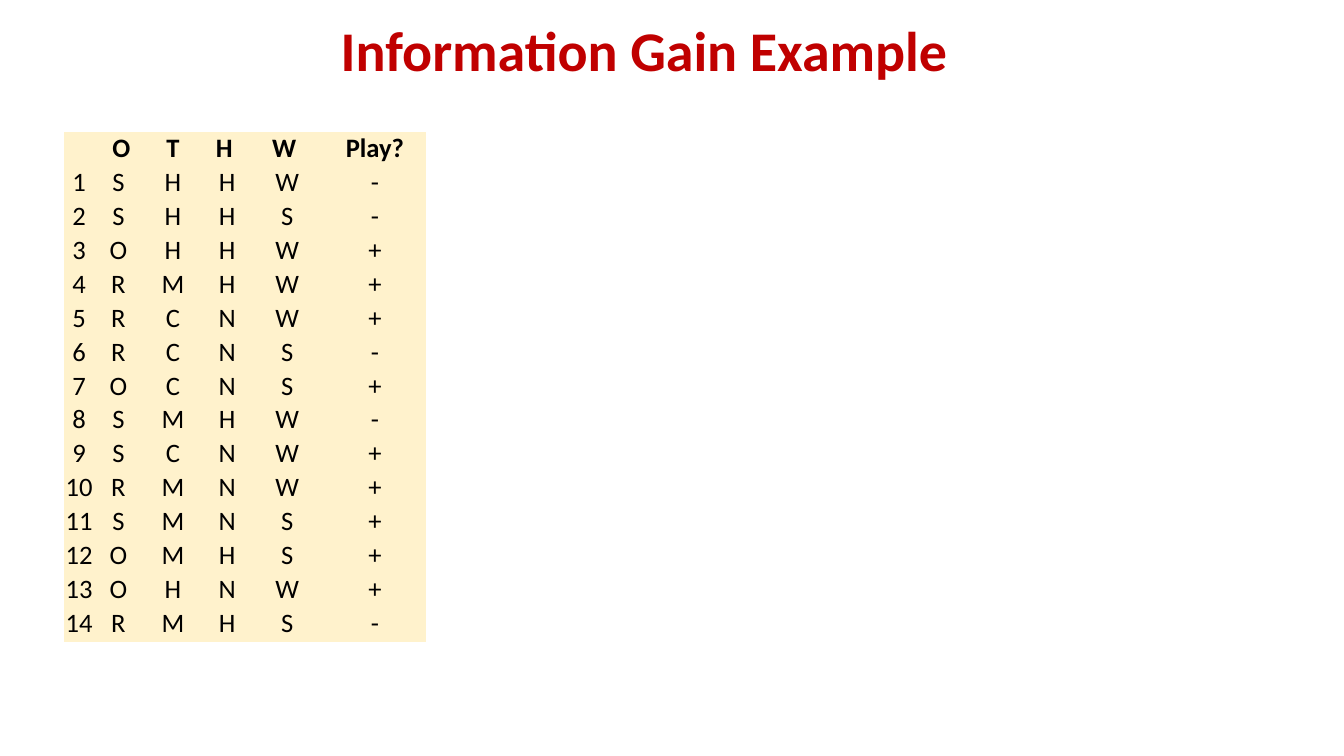
from dataclasses import dataclass

from pptx import Presentation
from pptx.dml.color import RGBColor
from pptx.enum.text import MSO_ANCHOR, PP_ALIGN
from pptx.util import Inches, Pt

CENTER = PP_ALIGN.CENTER
MIDDLE = MSO_ANCHOR.MIDDLE
PLAIN = "{2D5ABB26-0587-4C30-8999-92F81FD0307C}"


@dataclass(frozen=True)
class Theme:
    """Hold the colours, font and type sizes of the slide."""
    font: str = "Calibri"
    red: RGBColor = RGBColor(0xC0, 0x00, 0x00)
    black: RGBColor = RGBColor(0x00, 0x00, 0x00)
    cream: RGBColor = RGBColor(0xFF, 0xF2, 0xCC)
    head: Pt = Pt(40)
    body: Pt = Pt(19)


THEME = Theme()
WIDTHS = (0.31, 0.47, 0.61, 0.47, 0.72, 1.02)
HEADS = ("", " O", "T", "H ", "W ", "Play?")
DAYS = (
    "SHHW-", "SHHS-", "OHHW+", "RMHW+", "RCNW+", "RCNS-", "OCNS+",
    "SMHW-", "SCNW+", "RMNW+", "SMNS+", "OMHS+", "OHNW+", "RMHS-",
)


def add_run(para, text, size, color, bold):
    """Add one styled run to a centred paragraph."""
    para.alignment = CENTER
    run = para.add_run()
    run.text = text
    font = run.font
    font.name, font.size, font.bold = THEME.font, size, bold
    font.color.rgb = color


def add_title(slide, text):
    """Add the slide heading."""
    box = slide.shapes.add_textbox(
        Inches(0.45), Inches(0.02), Inches(12), Inches(1.01))
    frame = box.text_frame
    frame.word_wrap = True
    frame.vertical_anchor = MIDDLE
    para = frame.paragraphs[0]
    para.line_spacing = 0.9
    add_run(para, text, THEME.head, THEME.red, True)


def fill_cell(cell, text, bold):
    """Colour a cell and write its text without margins."""
    cell.fill.solid()
    cell.fill.fore_color.rgb = THEME.cream
    cell.margin_left = cell.margin_right = 0
    cell.margin_top = cell.margin_bottom = 0
    if text:
        add_run(cell.text_frame.paragraphs[0], text,
                THEME.body, THEME.black, bold)


def add_grid(slide, rows):
    """Add the table of days, with a bold first row."""
    frame = slide.shapes.add_table(
        len(rows), len(WIDTHS), Inches(0.63), Inches(1.31),
        Inches(sum(WIDTHS)), Inches(5.06))
    table = frame.table
    table.first_row = table.horz_banding = False
    table._tbl.tblPr.find("{*}tableStyleId").text = PLAIN
    for col, width in zip(table.columns, WIDTHS):
        col.width = Inches(width)
    for r, row in enumerate(rows):
        for c, text in enumerate(row):
            fill_cell(table.cell(r, c), text, r == 0)


def main():
    """Build the slide and save it."""
    deck = Presentation()
    deck.slide_width, deck.slide_height = Inches(13.33), Inches(7.5)
    slide = deck.slides.add_slide(deck.slide_layouts[6])
    add_title(slide, "Information Gain Example ")
    days = [(str(n), *day) for n, day in enumerate(DAYS, 1)]
    add_grid(slide, [HEADS, *days])
    deck.save("out.pptx")


if __name__ == "__main__":
    main()
